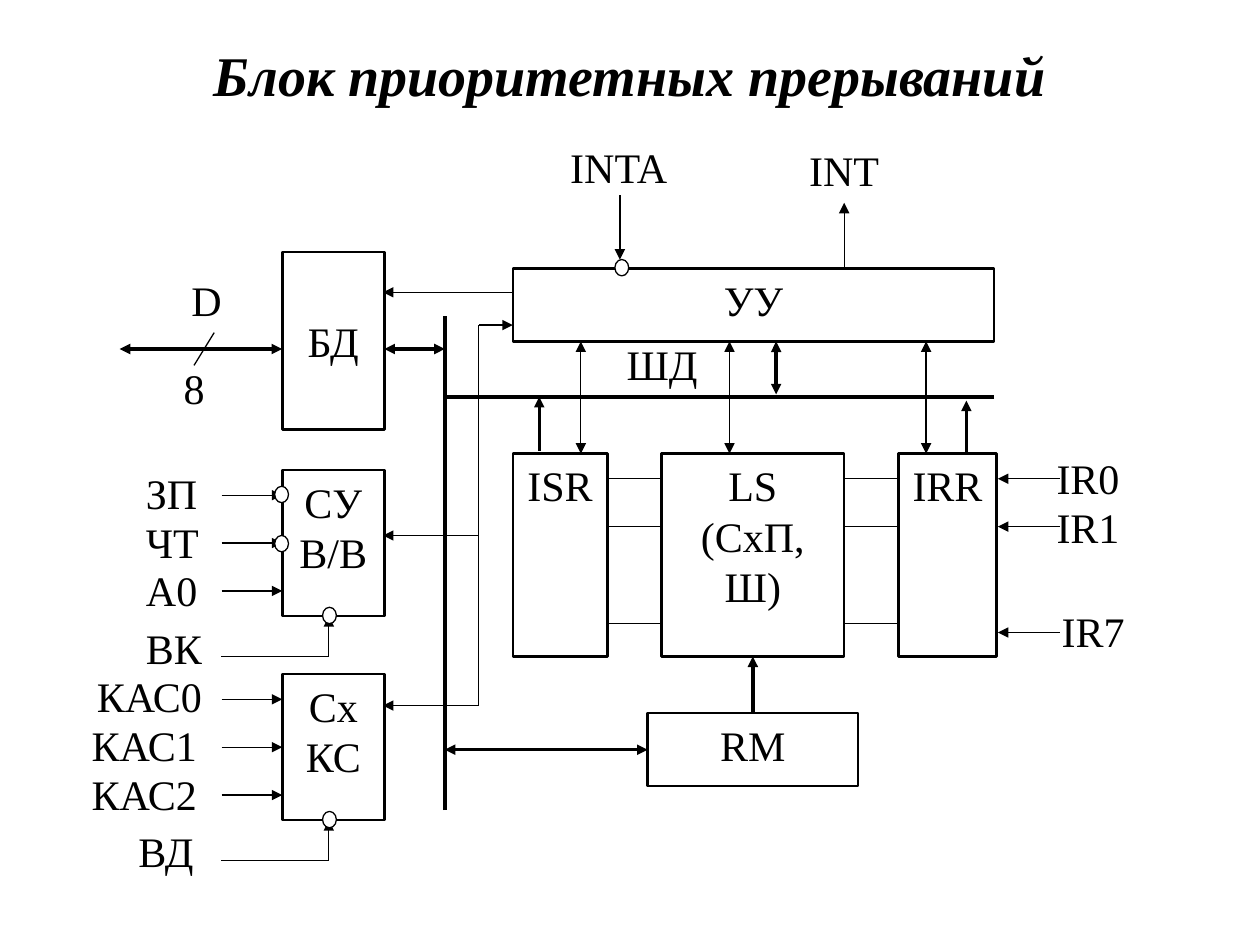
from dataclasses import dataclass

from lxml import etree
from pptx import Presentation
from pptx.dml.color import RGBColor
from pptx.enum import shapes, text
from pptx.oxml.ns import qn
from pptx.util import Inches, Pt


@dataclass(frozen=True)
class Theme:
    ink: RGBColor = RGBColor(0, 0, 0)
    paper: RGBColor = RGBColor(255, 255, 255)
    font: str = "Times New Roman"
    title: Pt = Pt(32)
    label: Pt = Pt(24)
    thin: Pt = Pt(0.75)
    frame: Pt = Pt(1.5)
    bus: Pt = Pt(2)


T = Theme()
CENTER, LEFT = text.PP_ALIGN.CENTER, text.PP_ALIGN.LEFT

prs = Presentation()
prs.slide_width, prs.slide_height = Inches(10), Inches(7.5)
s = prs.slides.add_slide(prs.slide_layouts[5])


def write(sp, content, align=CENTER, anchor=text.MSO_ANCHOR.TOP):
    tf = sp.text_frame
    tf.word_wrap = True
    tf.vertical_anchor = anchor
    tf.text = content
    for p in tf.paragraphs:
        p.alignment = align
        p.font.name, p.font.size = T.font, T.label
        p.font.color.rgb = T.ink


def wire(x1, y1, x2, y2, ends="", width=T.thin):
    """Draw a line; "<" puts an arrowhead at its start, ">" at its end."""
    c = s.shapes.add_connector(shapes.MSO_CONNECTOR.STRAIGHT,
                               Inches(x1), Inches(y1), Inches(x2), Inches(y2))
    c.line.color.rgb, c.line.width = T.ink, width
    for mark, tag in (("<", "a:headEnd"), (">", "a:tailEnd")):
        if mark in ends:
            etree.SubElement(c.line._get_or_add_ln(), qn(tag), type="triangle")
    etree.SubElement(c._element.spPr, qn("a:effectLst"))
    return c


# Title
title = s.shapes.title
title.left, title.top, title.width, title.height = map(Inches, (0.5, 0.3, 9, 0.57))
write(title, "Блок приоритетных прерываний", anchor=text.MSO_ANCHOR.MIDDLE)
font = title.text_frame.paragraphs[0].font
font.size, font.bold, font.italic = T.title, True, True

# Blocks
blocks = {}
for name, *box in [
    ("БД", 2.24, 2, 0.81, 1.41),
    ("CУ\nВ/В", 2.24, 3.73, 0.81, 1.16),
    ("Cх\nКС", 2.24, 5.35, 0.81, 1.16),
    ("УУ", 4.07, 2.13, 3.82, 0.58),
    ("ISR", 4.07, 3.6, 0.75, 1.61),
    ("LS\n(СхП, Ш)", 5.25, 3.6, 1.45, 1.61),
    ("IRR", 7.13, 3.6, 0.78, 1.61),
    ("RM", 5.14, 5.66, 1.67, 0.58),
]:
    sp = s.shapes.add_shape(shapes.MSO_SHAPE.RECTANGLE, *map(Inches, box))
    sp.shadow.inherit = False
    sp.fill.background()
    sp.line.color.rgb, sp.line.width = T.ink, T.frame
    anchor = text.MSO_ANCHOR.MIDDLE if name == "БД" else text.MSO_ANCHOR.TOP
    write(sp, name, anchor=anchor)
    blocks[name.split("\n")[0]] = sp

# Data buses
for line in [
    (3.53, 6.43, 3.53, 2.51),
    (7.89, 3.15, 3.53, 3.15),
    (2.24, 2.77, 0.95, 2.77, "<>"),
    (3.53, 2.77, 3.05, 2.77, "<>"),
    (4.28, 3.15, 4.28, 3.58, "<"),
    (7.67, 3.18, 7.67, 3.6, "<"),
    (6.16, 2.71, 6.16, 3.13, "<>"),
]:
    wire(*line, width=T.bus)
wire(3.53, 5.95, 5.14, 5.95, "<>", T.bus).end_connect(blocks["RM"], 1)
c = wire(5.98, 5.66, 5.98, 5.21, ">", T.bus)
c.begin_connect(blocks["RM"], 0)
c.end_connect(blocks["LS"], 2)

# Control lines
for line in [
    (4.07, 2.32, 3.04, 2.32, ">"),
    (4.07, 2.58, 3.8, 2.58, "<"),
    (3.8, 2.58, 3.8, 5.6),
    (3.8, 4.25, 3.04, 4.25, ">"),
    (3.8, 5.6, 3.04, 5.6, ">"),
    (4.92, 1.55, 4.92, 2.06, ">"),
    (6.7, 2.12, 6.7, 1.61, ">"),
    (1.7, 2.64, 1.54, 2.9),
]:
    wire(*line)
for x in (4.61, 5.79, 7.35):
    wire(x, 2.71, x, 3.6, "<>")

# Links between the registers and LS
for y in (3.8, 4.18, 4.95):
    for x in (4.82, 6.7):
        wire(x, y, x + 0.43, y)

# Interrupt requests
for y in (3.8, 4.18, 5.02):
    wire(8.41, y, 7.92, y, ">")

# Inputs on the left: three side inputs and one from below for each block
for name, middle in (("CУ", 4.31), ("Cх", 5.93)):
    for dy in (-0.38, 0, 0.38):
        c = wire(1.76, middle + dy, 2.24, middle + dy, ">")
        if dy == 0:
            c.end_connect(blocks[name], 1)
    wire(2.61, middle + 0.58, 2.61, middle + 0.9, "<")
    wire(2.61, middle + 0.9, 1.75, middle + 0.9)

# Inversion circles
for x, y in [(2.18, 3.86), (2.18, 4.25), (2.56, 4.82), (2.56, 6.44), (4.88, 2.06)]:
    sp = s.shapes.add_shape(shapes.MSO_SHAPE.OVAL, Inches(x), Inches(y),
                            Inches(0.11), Inches(0.13))
    sp.shadow.inherit = False
    sp.fill.solid()
    sp.fill.fore_color.rgb = T.paper
    sp.line.color.rgb, sp.line.width = T.ink, T.thin

# Signal labels
for label, x, y, w, align in [
    ("D", 1.16, 2.13, 0.96, CENTER),
    ("8", 1.27, 2.83, 0.54, CENTER),
    ("ШД", 4.77, 2.64, 0.97, CENTER),
    ("INTA", 4.37, 1.07, 1.08, CENTER),
    ("INT", 6.22, 1.1, 0.96, CENTER),
    ("IR0", 8.26, 3.54, 0.75, CENTER),
    ("IR1", 8.26, 3.93, 0.75, CENTER),
    ("IR7", 8.3, 4.76, 0.75, CENTER),
    ("ЗП", 1.06, 3.66, 0.75, LEFT),
    ("ЧТ", 1.06, 4.05, 0.75, LEFT),
    ("А0", 1.06, 4.43, 0.75, LEFT),
    ("ВК", 1.06, 4.89, 0.75, LEFT),
    ("КАС0", 0.67, 5.27, 1.14, LEFT),
    ("КАС1", 0.63, 5.66, 1.06, LEFT),
    ("КАС2", 0.63, 6.05, 1.1, LEFT),
    ("ВД", 1, 6.5, 0.75, LEFT),
]:
    write(s.shapes.add_textbox(Inches(x), Inches(y), Inches(w), Inches(0.52)),
          label, align)

prs.save("out.pptx")
